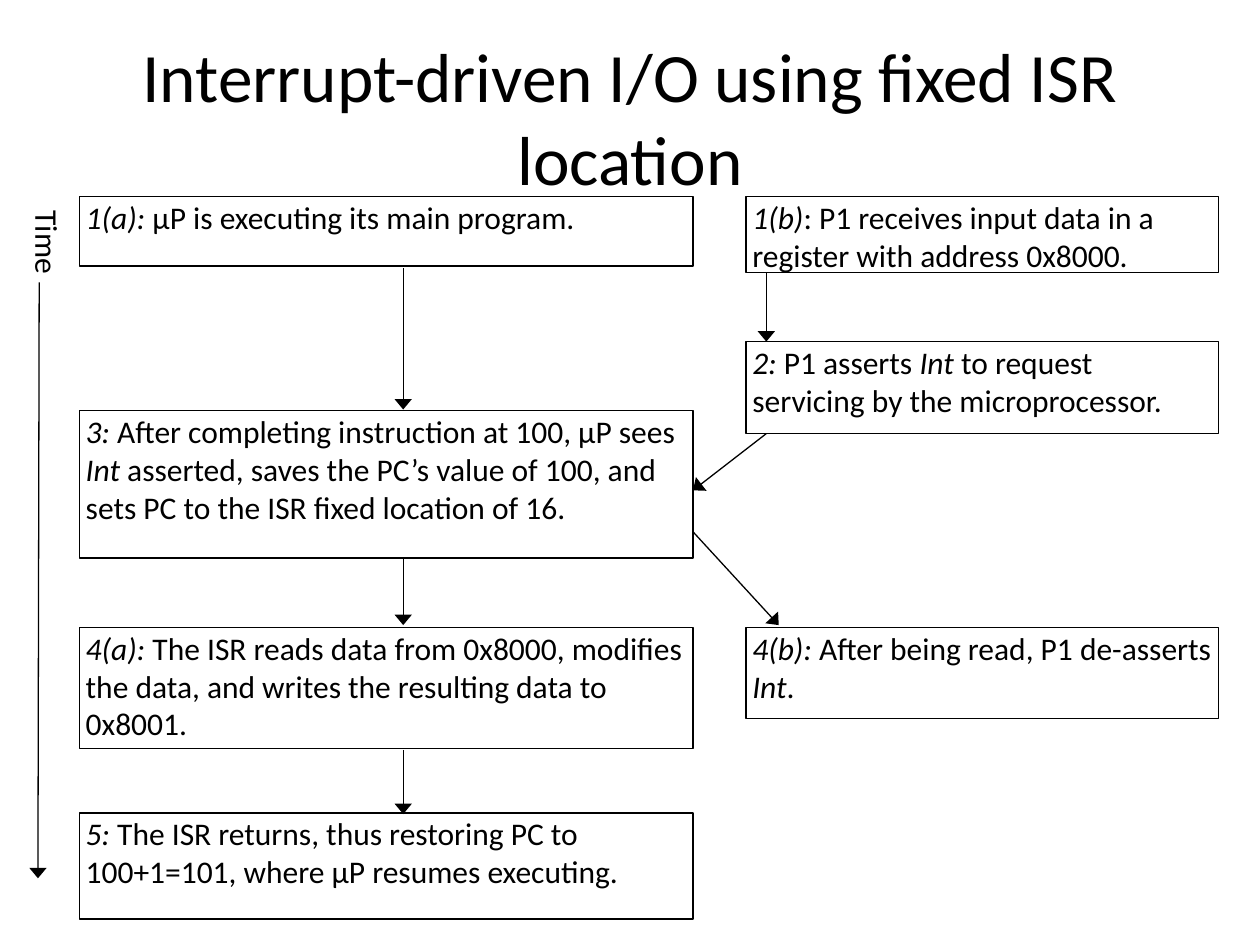
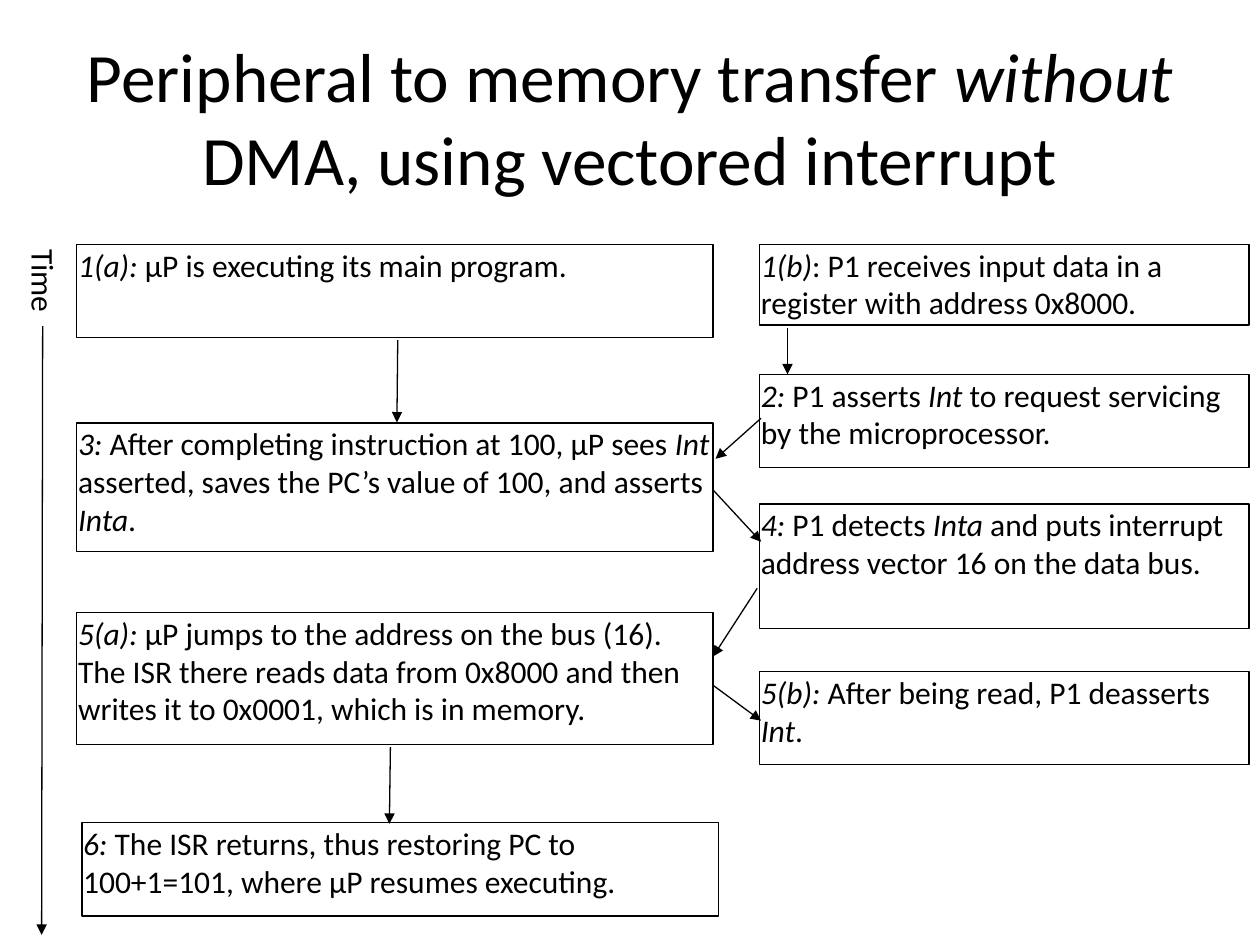
import pptx
import pptx.util
import pptx.dml.color
import pptx.enum.shapes
import pptx.enum.text
import pptx.oxml.ns
import lxml.etree
from dataclasses import dataclass

Pt = pptx.util.Pt
COLORS = {"ink": "000000", "paper": "FFFFFF"}
FONT = "Calibri"
TITLE_SIZE, STEP_SIZE, LINE_WIDTH = 39.6, 18, 0.75
TITLE_BOX = (36, 21.6, 648, 90)


@dataclass
class Flow:
    """Two columns of steps; every position is relative to left and top."""
    left: float
    top: float
    column_widths: tuple
    right_column: float
    side_inset: float
    head_width: str
    processor_steps: list    # (indent, top, height, text)
    peripheral_steps: list   # (indent, top, height, text)
    arrows: list             # (x1, y1, x2, y2), the time axis last
    time_label: tuple


def color(name):
    return pptx.dml.color.RGBColor.from_string(COLORS[name])


def write(text_frame, text, size):
    """Add the text run by run; parts between asterisks are italic."""
    text_frame.word_wrap = True
    text_frame.auto_size = pptx.enum.text.MSO_AUTO_SIZE.NONE
    paragraph = text_frame.paragraphs[0]
    for index, part in enumerate(text.split("*")):
        if part:
            run = paragraph.add_run()
            run.text = part
            run.font.name = FONT
            run.font.size = Pt(size)
            run.font.italic = index % 2 == 1
            run.font.color.rgb = color("ink")
    return paragraph


def set_insets(text_frame, side, end):
    text_frame.margin_left = text_frame.margin_right = Pt(side)
    text_frame.margin_top = text_frame.margin_bottom = Pt(end)
    text_frame.vertical_anchor = pptx.enum.text.MSO_ANCHOR.TOP


def add_title(slide, text, box):
    title = slide.shapes.title
    title.left, title.top, title.width, title.height = map(Pt, box)
    title.text_frame.vertical_anchor = pptx.enum.text.MSO_ANCHOR.MIDDLE
    paragraph = write(title.text_frame, text, TITLE_SIZE)
    paragraph.alignment = pptx.enum.text.PP_ALIGN.CENTER


def add_step(slide, box, text, side_inset):
    shape = slide.shapes.add_shape(
        pptx.enum.shapes.MSO_SHAPE.RECTANGLE, *map(Pt, box))
    shape.shadow.inherit = False
    shape.fill.background()
    shape.line.color.rgb = color("ink")
    shape.line.width = Pt(LINE_WIDTH)
    set_insets(shape.text_frame, side_inset, 0.72)
    paragraph = write(shape.text_frame, text, STEP_SIZE)
    paragraph.alignment = pptx.enum.text.PP_ALIGN.LEFT


def add_arrow(slide, points, head_width):
    arrow = slide.shapes.add_connector(
        pptx.enum.shapes.MSO_CONNECTOR.STRAIGHT, *map(Pt, points))
    arrow.line.color.rgb = color("ink")
    arrow.line.width = Pt(LINE_WIDTH)
    qualified = pptx.oxml.ns.qn
    lxml.etree.SubElement(arrow.line._get_or_add_ln(), qualified("a:tailEnd"),
                          type="triangle", w=head_width, len="med")
    lxml.etree.SubElement(arrow._element.spPr, qualified("a:effectLst"))


def add_time_label(slide, box):
    label = slide.shapes.add_textbox(*map(Pt, box))
    label.rotation = 90
    set_insets(label.text_frame, 0, 0)
    write(label.text_frame, "Time", STEP_SIZE)


def add_flow(slide, flow):
    # Steps, column by column
    columns = zip((0, flow.right_column), flow.column_widths,
                  (flow.processor_steps, flow.peripheral_steps))
    for column_left, width, steps in columns:
        for indent, top, height, text in steps:
            box = (flow.left + column_left + indent, flow.top + top, width, height)
            add_step(slide, box, text, flow.side_inset)
    # Arrows between steps and along the time axis
    for x1, y1, x2, y2 in flow.arrows:
        points = (flow.left + x1, flow.top + y1, flow.left + x2, flow.top + y2)
        add_arrow(slide, points, flow.head_width)
    # Time axis label
    left, top, width, height = flow.time_label
    add_time_label(slide, (flow.left + left, flow.top + top, width, height))


def add_flow_slide(presentation, title, flow):
    slide = presentation.slides.add_slide(presentation.slide_layouts[5])
    slide.background.fill.solid()
    slide.background.fill.fore_color.rgb = color("paper")
    add_title(slide, title, TITLE_BOX)
    add_flow(slide, flow)


# Steps worded alike on both slides
MAIN_PROGRAM = "*1(a):* μP is executing its main program."
INPUT_RECEIVED = "*1(b)*: P1 receives input data in a register with address 0x8000."
REQUEST = "*2:* P1 asserts *Int* to request servicing by the microprocessor."
ACKNOWLEDGE = ("*3:* After completing instruction at 100, μP sees *Int* asserted, "
               "saves the PC’s value of 100, and ")
RETURN = (" The ISR returns, thus restoring PC to 100+1=101, "
          "where μP resumes executing.")

FIXED_LOCATION = Flow(
    left=45.4, top=112.4, column_widths=(350.6, 270), right_column=380.9,
    side_inset=3.6, head_width="lg",
    processor_steps=[
        (0, 0, 39.6, MAIN_PROGRAM),
        (0, 122.4, 84.2, ACKNOWLEDGE + "sets PC to the ISR fixed location of 16."),
        (0, 246.2, 69.1, "*4(a):* The ISR reads data from 0x8000, modifies the data, "
                         "and writes the resulting data to 0x8001."),
        (0, 352.1, 60.7, "*5:*" + RETURN),
    ],
    peripheral_steps=[
        (0, 0, 43.4, INPUT_RECEIVED),
        (0, 82.8, 52.6, REQUEST),
        (0, 246.2, 51.8, "*4(b):* After being read, P1 de-asserts *Int*."),
    ],
    arrows=[
        (185, 41, 185, 121.6),
        (392.5, 43.9, 392.5, 82.8),
        (392.5, 135.4, 350.6, 167.8),
        (350.6, 191.5, 399.6, 244.8),
        (185, 206.7, 185, 244.8),
        (185, 316.1, 185, 352.8),
        (-23, 49, -23.7, 389.5),
    ],
    time_label=(-44.6, 7.2, 36.7, 38.2),
)

VECTORED = Flow(
    left=43.9, top=139.6, column_widths=(363.6, 279.6), right_column=390.2,
    side_inset=0.72, head_width="med",
    processor_steps=[
        (0, 0, 53.3, MAIN_PROGRAM),
        (0, 102.2, 73.4, ACKNOWLEDGE + "asserts *Inta*."),
        (0, 210.4, 75.6, "*5(a):* μP jumps to the address on the bus (16). The ISR "
                         "there reads data from 0x8000 and then writes it to 0x0001, "
                         "which is in memory."),
        (2.9, 330.6, 53.3, "*6:*" + RETURN),
    ],
    peripheral_steps=[
        (0, 0, 46.1, INPUT_RECEIVED),
        (0, 74.3, 53.3, REQUEST),
        (0, 148.4, 71.3, "*4:* P1 detects *Inta* and puts interrupt address vector 16 "
                         "on the data bus."),
        (0, 244.2, 53.3, "*5(b):* After being read, P1 deasserts *Int*."),
    ],
    arrows=[
        (183.4, 54.8, 182.9, 101.8),
        (406.1, 47.6, 406.1, 74.3),
        (391, 99.4, 365, 122.6),
        (363.6, 140.4, 391, 170),
        (388.8, 196.6, 363.6, 235.5),
        (363.6, 252, 391, 272.2),
        (179.2, 287.4, 178.6, 331.2),
        (-19.5, 46.8, -20.1, 394.6),
    ],
    time_label=(-41, 11.5, 41.8, 24.5),
)


def main():
    presentation = pptx.Presentation()
    presentation.slide_width, presentation.slide_height = Pt(720), Pt(540)
    add_flow_slide(presentation, "Interrupt-driven I/O using fixed ISR location",
                   FIXED_LOCATION)
    add_flow_slide(presentation, "Peripheral to memory transfer *without* DMA, "
                   "using vectored interrupt", VECTORED)
    presentation.save("out.pptx")


if __name__ == "__main__":
    main()
